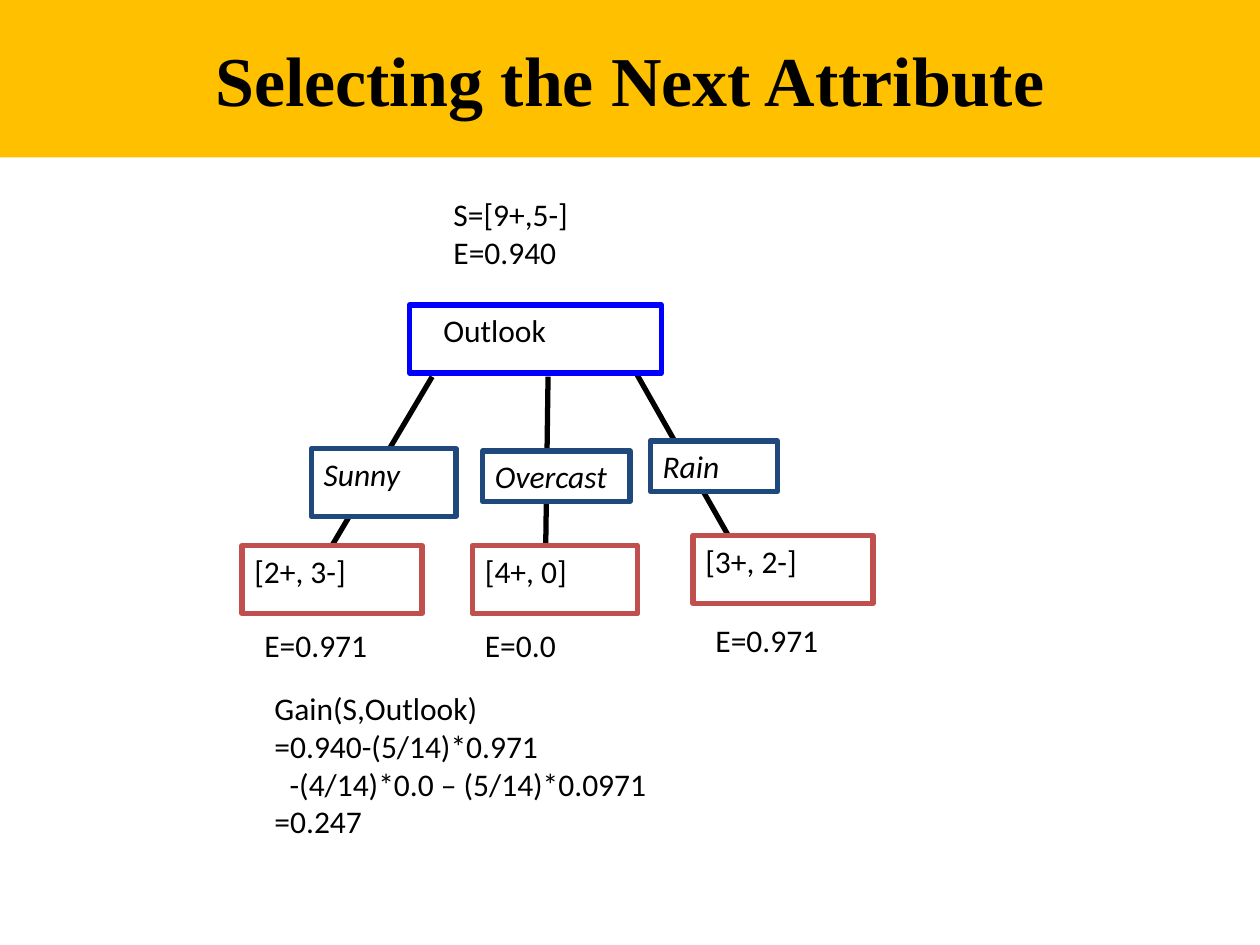
from lxml import etree
from pptx import Presentation
from pptx.dml.color import RGBColor
from pptx.enum.shapes import MSO_CONNECTOR, MSO_SHAPE
from pptx.enum.text import MSO_ANCHOR, PP_ALIGN
from pptx.oxml.ns import qn
from pptx.util import Inches, Pt

RECTANGLE = MSO_SHAPE.RECTANGLE
STRAIGHT = MSO_CONNECTOR.STRAIGHT
MIDDLE = MSO_ANCHOR.MIDDLE
TOP = MSO_ANCHOR.TOP
CENTER = PP_ALIGN.CENTER
LEFT = PP_ALIGN.LEFT
COLORS = {
    "banner": "FFC000",
    "text": "000000",
    "box": "FFFFFF",
    "root": "0000FF",
    "branch": "1F497D",
    "leaf": "C0504D",
}


def color(name):
    return RGBColor.from_string(COLORS[name])


def write_lines(shape, lines, italic=False, spacing=None):
    frame = shape.text_frame
    frame.word_wrap = True
    frame.vertical_anchor = TOP
    for index, (text, indent) in enumerate(lines):
        paragraph = frame.add_paragraph() if index else frame.paragraphs[0]
        paragraph.alignment = LEFT
        paragraph.line_spacing = spacing
        if indent:
            paragraph._p.get_or_add_pPr().set("marL", str(Inches(indent)))
        run = paragraph.add_run()
        run.text = text
        run.font.name = "Calibri"
        run.font.size = Pt(18)
        run.font.italic = italic
        run.font.color.rgb = color("text")


presentation = Presentation()
presentation.slide_width = Inches(10)
presentation.slide_height = Inches(7.5)
slide = presentation.slides.add_slide(presentation.slide_layouts[5])

title = slide.shapes.title
title.left, title.top = Inches(0), Inches(0)
title.width, title.height = Inches(10), Inches(1.25)
title.fill.solid()
title.fill.fore_color.rgb = color("banner")
title.text_frame.vertical_anchor = MIDDLE
title_paragraph = title.text_frame.paragraphs[0]
title_paragraph.alignment = CENTER
title_run = title_paragraph.add_run()
title_run.text = "Selecting the Next Attribute"
title_run.font.name = "Times New Roman"
title_run.font.size = Pt(40)
title_run.font.bold = True
title_run.font.color.rgb = color("text")

edges = {}
for name, *ends in [
    ("Sunny", 3.43, 2.99, 2.61, 4.33),
    ("Overcast", 4.35, 2.99, 4.33, 4.42),
    ("Rain", 5.02, 2.91, 5.78, 4.25),
]:
    edge = slide.shapes.add_connector(STRAIGHT, *map(Inches, ends))
    edge.line.color.rgb = color("text")
    edge.line.width = Pt(3)
    etree.SubElement(edge._element.spPr, qn("a:effectLst"))
    edges[name] = edge

nodes = {}
for text, kind, indent, *place in [
    ("Outlook", "root", 0.17, 3.25, 2.42, 2, 0.54),
    ("Sunny", "branch", 0, 2.47, 3.56, 1.15, 0.54),
    ("Overcast", "branch", 0, 3.83, 3.58, 1.17, 0.4),
    ("Rain", "branch", 0, 5.16, 3.5, 1.01, 0.4),
    ("[2+, 3-]", "leaf", 0, 1.92, 4.33, 1.43, 0.54),
    ("[4+, 0]", "leaf", 0, 3.75, 4.33, 1.31, 0.54),
    ("[3+, 2-]", "leaf", 0, 5.5, 4.25, 1.43, 0.54),
]:
    node = slide.shapes.add_shape(RECTANGLE, *map(Inches, place))
    node.shadow.inherit = False
    node.fill.solid()
    node.fill.fore_color.rgb = color("box")
    node.line.color.rgb = color(kind)
    node.line.width = Pt(3)
    write_lines(node, [(text, indent)], italic=kind == "branch")
    nodes[text] = node

edges["Sunny"].end_connect(nodes["[2+, 3-]"], 0)

gain_lines = [
    ("Gain(S,Outlook)", 0),
    ("=0.940-(5/14)*0.971", 0),
    ("-(4/14)*0.0 – (5/14)*0.0971", 0.12),
    ("=0.247", 0),
]
for lines, spacing, *place in [
    ([("S=[9+,5-]", 0), ("E=0.940", 0)], None, 3.5, 1.5, 1.72, 0.9),
    ([("E=0.971", 0)], 0.7, 2, 5, 1.5, 0.38),
    ([("E=0.0", 0)], 0.7, 3.75, 5, 1.5, 0.38),
    ([("E=0.971", 0)], None, 5.58, 4.88, 1.5, 0.5),
    (gain_lines, None, 2.08, 5.42, 4.62, 1.7),
]:
    label = slide.shapes.add_textbox(*map(Inches, place))
    write_lines(label, lines, spacing=spacing)

presentation.save("out.pptx")
